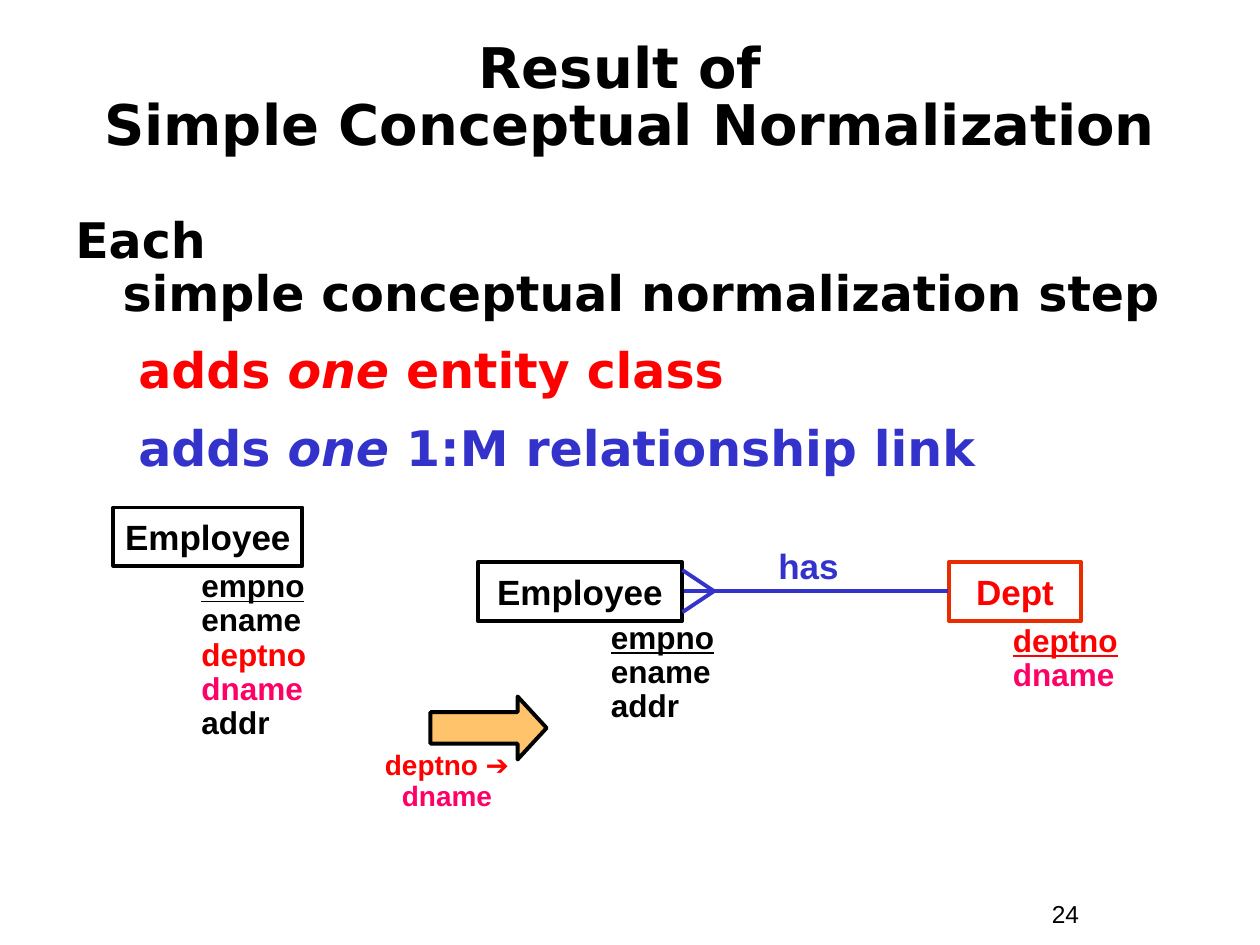
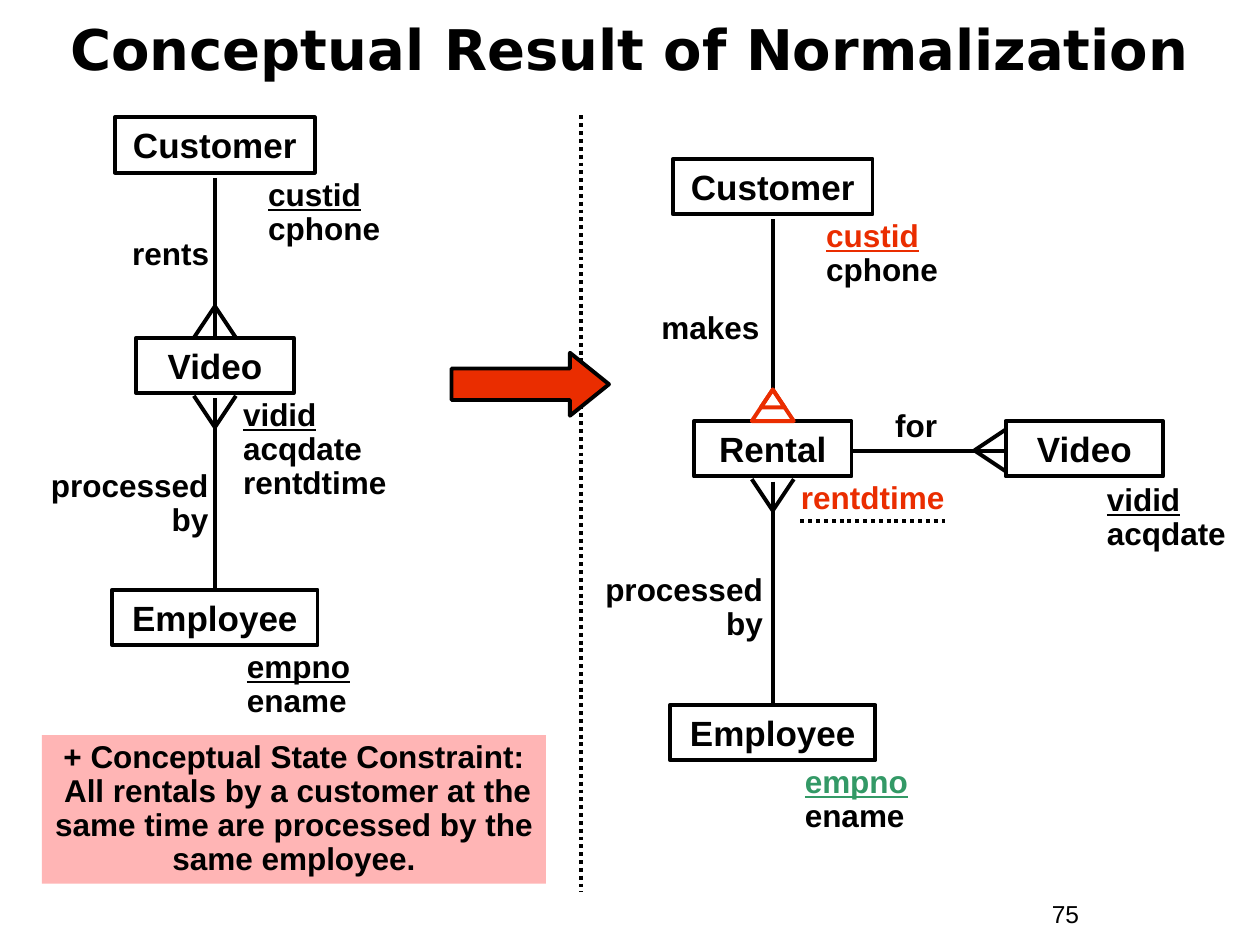
"""Build two slides on conceptual normalization with entity diagrams."""
from dataclasses import dataclass

from lxml import etree
from pptx import Presentation
from pptx.dml.color import RGBColor
from pptx.enum.dml import MSO_LINE
from pptx.enum.shapes import MSO_CONNECTOR, MSO_SHAPE
from pptx.enum.text import MSO_ANCHOR, PP_ALIGN
from pptx.oxml.ns import qn
from pptx.util import Pt

LEFT, CENTER, RIGHT = PP_ALIGN.LEFT, PP_ALIGN.CENTER, PP_ALIGN.RIGHT
TOP, MIDDLE = MSO_ANCHOR.TOP, MSO_ANCHOR.MIDDLE
RECT, ARROW, TRIANGLE = MSO_SHAPE.RECTANGLE, MSO_SHAPE.RIGHT_ARROW, MSO_SHAPE.ISOSCELES_TRIANGLE
DOTS, STRAIGHT = MSO_LINE.ROUND_DOT, MSO_CONNECTOR.STRAIGHT


@dataclass(frozen=True)
class Theme:
    ink: str = "000000"
    red: str = "FF0000"
    pink: str = "FF0066"
    blue: str = "3333CC"
    flame: str = "EA2D00"
    green: str = "339966"
    gold: str = "FFC36B"
    blush: str = "FFB5B5"
    heading: str = "DejaVu Sans"
    label: str = "Arial"
    title_size: int = 32
    body_size: int = 28
    entity_size: int = 20
    attribute_size: int = 18
    rule_size: int = 16
    number_size: int = 14
    stroke: float = 2.25


THEME = Theme()


def plain(text, color=THEME.ink):
    return [(text, color, "")]


def key(text, color=THEME.ink):
    return [(text, color, "u")]


def adds(what, color):
    return [("adds ", color, ""), ("one", color, "i"), (what, color, "")]


STEP_TITLE = "Result of \vSimple Conceptual Normalization"
STEP_BODY = [
    plain("Each \vsimple conceptual normalization step"),
    adds(" entity class", THEME.red),
    adds(" 1:M relationship link", THEME.blue),
]
BODY_INDENTS = [(27, -27), (58.5, -22.5), (58.5, -22.5)]
STEP_ENTITIES = [
    ("Employee", (64.8, 290, 108, 33.4), THEME.ink, THEME.ink, (108, 322.6, 174),
     [key("empno"), plain("ename"), plain("deptno", THEME.red),
      plain("dname", THEME.pink), plain("addr")]),
    ("Employee", (273, 321.2, 116.8, 33.6), THEME.ink, THEME.ink, (342, 352, 114),
     [key("empno"), plain("ename"), plain("addr")]),
    ("Dept", (542.2, 321.2, 75.6, 33.6), THEME.red, THEME.flame, (571.7, 353.6, 82),
     [key("deptno", THEME.red), plain("dname", THEME.pink)]),
]
STEP_RULE = [("deptno ➔ ", THEME.red, ""), ("dname", THEME.pink, "")]

RESULT_TITLE = "Conceptual Result of Normalization"
COLUMNS = [
    {
        "axis": 122.8,
        "entities": [
            ("Customer", 67, 114, 23.4, [key("custid"), plain("cphone")]),
            ("Video", 193, 90, 9, [key("vidid"), plain("acqdate"), plain("rentdtime")]),
            ("Employee", 337, 117.4, 11.2, [key("empno"), plain("ename")]),
        ],
        "verbs": [("rents", 68.4, 132.5, 84, LEFT), ("processed by", 12.2, 265, 114, RIGHT)],
        "weak": False,
    },
    {
        "axis": 441.6,
        "entities": [
            ("Customer", 90.8, 114, 23.4, [key("custid", THEME.flame), plain("cphone")]),
            ("Rental", 240.6, 90, 9, [plain("rentdtime", THEME.flame)]),
            ("Employee", 402.8, 117.4, 11.2, [key("empno", THEME.green), plain("ename")]),
        ],
        "verbs": [("makes", 370.8, 175, 84, LEFT), ("processed by", 329, 324.8, 114, RIGHT)],
        "weak": True,
    },
]
RENTED = [key("vidid"), plain("acqdate")]
CONSTRAINT = ("+ Conceptual State Constraint:\v All rentals by a customer at the "
              "same time are processed by the same employee.")

BOX_HEIGHT = 31.7
FOOT_LENGTH, FOOT_SPREAD = 18, 12
LINK_GAP, FOOT_GAP = 2.9, 1.5


def points(*lengths):
    return [Pt(length) for length in lengths]


def rgb(color):
    return RGBColor.from_string(color)


def write(frame, paragraphs, size, font=THEME.label, align=LEFT, spacing=1.0,
          anchor=TOP, before=0, bold=True, indents=None, wrap=True):
    frame.word_wrap = wrap
    frame.vertical_anchor = anchor
    for index, spans in enumerate(paragraphs):
        para = frame.add_paragraph() if index else frame.paragraphs[0]
        para.alignment = align
        para.line_spacing = spacing
        if index and before:
            para.space_before = Pt(before)
        if indents:
            margin, first = points(*indents[index])
            properties = para._p.get_or_add_pPr()
            properties.set("marL", str(margin))
            properties.set("indent", str(first))
        for text, color, marks in spans:
            for part, line in enumerate(text.split("\v")):
                if part:
                    para.add_line_break()
                span = para.add_run()
                span.text = line
                span.font.name = font
                span.font.size = Pt(size)
                span.font.bold = bold
                span.font.italic = "i" in marks
                span.font.underline = "u" in marks
                span.font.color.rgb = rgb(color)


def add_text(page, bounds, paragraphs, size, **style):
    box = page.shapes.add_textbox(*points(*bounds))
    write(box.text_frame, paragraphs, size, **style)


def add_figure(page, kind, bounds, fill=None, border=THEME.ink, adjust=()):
    shape = page.shapes.add_shape(kind, *points(*bounds))
    shape.shadow.inherit = False
    if fill:
        shape.fill.solid()
        shape.fill.fore_color.rgb = rgb(fill)
    else:
        shape.fill.background()
    if border:
        shape.line.color.rgb = rgb(border)
        shape.line.width = Pt(THEME.stroke)
    else:
        shape.line.fill.background()
    for index, value in enumerate(adjust):
        shape.adjustments[index] = value
    return shape


def add_line(page, start, end, color=THEME.ink, dash=None):
    line = page.shapes.add_connector(STRAIGHT, *points(*start, *end))
    line.line.color.rgb = rgb(color)
    line.line.width = Pt(THEME.stroke)
    if dash:
        line.line.dash_style = dash
    etree.SubElement(line._element.spPr, qn("a:effectLst"))


def add_crow_foot(page, apex, direction, color=THEME.ink):
    (x, y), (dx, dy) = apex, direction
    for side in (-FOOT_SPREAD, FOOT_SPREAD):
        toe = (x + FOOT_LENGTH * dx + side * dy, y + FOOT_LENGTH * dy + side * dx)
        add_line(page, apex, toe, color)


def add_entity(page, name, bounds, color=THEME.ink, border=THEME.ink):
    box = add_figure(page, RECT, bounds, border=border)
    write(box.text_frame, [plain(name, color)], THEME.entity_size,
          align=CENTER, anchor=MIDDLE, wrap=False)


def add_attributes(page, left, top, width, attributes):
    height = 7.2 + 19.4 * len(attributes)
    add_text(page, (left, top, width, height), attributes, THEME.attribute_size, spacing=0.9)


def add_page(deck, title, top, height, number):
    page = deck.slides.add_slide(deck.slide_layouts[6])
    add_text(page, (24, top, 672, height), [plain(title)], THEME.title_size,
             font=THEME.heading, align=CENTER, spacing=0.85, anchor=MIDDLE)
    add_text(page, (594, 510, 66, 24.2), [plain(number)], THEME.number_size, bold=False)
    return page


def build_step(deck):
    page = add_page(deck, STEP_TITLE, 24, 66, "24")
    add_text(page, (36, 120, 648, 360), STEP_BODY, THEME.body_size, font=THEME.heading,
             spacing=0.9, before=14, indents=BODY_INDENTS)
    for name, bounds, color, border, place, attributes in STEP_ENTITIES:
        add_entity(page, name, bounds, color, border)
        add_attributes(page, *place, attributes)
    add_line(page, (541.6, 337.8), (391, 337.8), THEME.blue)
    add_crow_foot(page, (408, 337.8), (-1, 0), THEME.blue)
    add_text(page, (402, 307.6, 120, 31.6), [plain("has", THEME.blue)],
             THEME.entity_size, align=CENTER)
    add_figure(page, ARROW, (246, 398, 66.4, 36), THEME.gold, adjust=(0.5, 0.46))
    add_text(page, (207.4, 426, 96, 42), [STEP_RULE], THEME.rule_size,
             align=CENTER, spacing=0.9)


def build_column(page, axis, entities, verbs, weak):
    for name, top, width, offset, attributes in entities:
        add_entity(page, name, (axis - width / 2, top, width, BOX_HEIGHT))
        add_attributes(page, axis + offset, top + BOX_HEIGHT, 103, attributes)
    first, middle, last = [entity[1] for entity in entities]
    apex = middle - FOOT_LENGTH
    add_line(page, (axis, first + BOX_HEIGHT + LINK_GAP), (axis, apex if weak else middle))
    add_line(page, (axis, middle + BOX_HEIGHT + LINK_GAP), (axis, last))
    if weak:
        for half, height in ((FOOT_SPREAD, FOOT_LENGTH), (6.8, 10.2)):
            add_figure(page, TRIANGLE, (axis - half, apex, 2 * half, height),
                       border=THEME.flame)
    else:
        add_crow_foot(page, (axis, apex), (0, 1))
    add_crow_foot(page, (axis, middle + BOX_HEIGHT + FOOT_GAP + FOOT_LENGTH), (0, -1))
    for verb, left, top, width, align in verbs:
        add_text(page, (left, top, width, 46), [plain(verb)], THEME.attribute_size,
                 align=align, spacing=0.9)


def build_result(deck):
    page = add_page(deck, RESULT_TITLE, 7, 47, "75")
    for column in COLUMNS:
        build_column(page, **column)
    add_entity(page, "Video", (574.6, 240.6, 90, BOX_HEIGHT))
    add_attributes(page, 625.4, 273.4, 83, RENTED)
    add_line(page, (574, 257.6), (487.2, 257.6))
    add_crow_foot(page, (556.8, 257.4), (1, 0))
    add_text(page, (504.4, 231, 46, 26.6), [plain("for")], THEME.attribute_size, spacing=0.9)
    add_line(page, (457.4, 297.6), (541, 297.6), dash=DOTS)
    note = add_figure(page, RECT, (24, 420, 288, 85), THEME.blush, border=None)
    write(note.text_frame, [plain(CONSTRAINT)], THEME.attribute_size,
          align=CENTER, spacing=0.9)
    add_line(page, (332, 66), (332, 510), dash=DOTS)
    add_figure(page, ARROW, (258, 201.6, 90, 36), THEME.flame, adjust=(0.5, 0.62))


def main():
    deck = Presentation()
    deck.slide_width, deck.slide_height = points(720, 540)
    build_step(deck)
    build_result(deck)
    deck.save("out.pptx")


if __name__ == "__main__":
    main()
